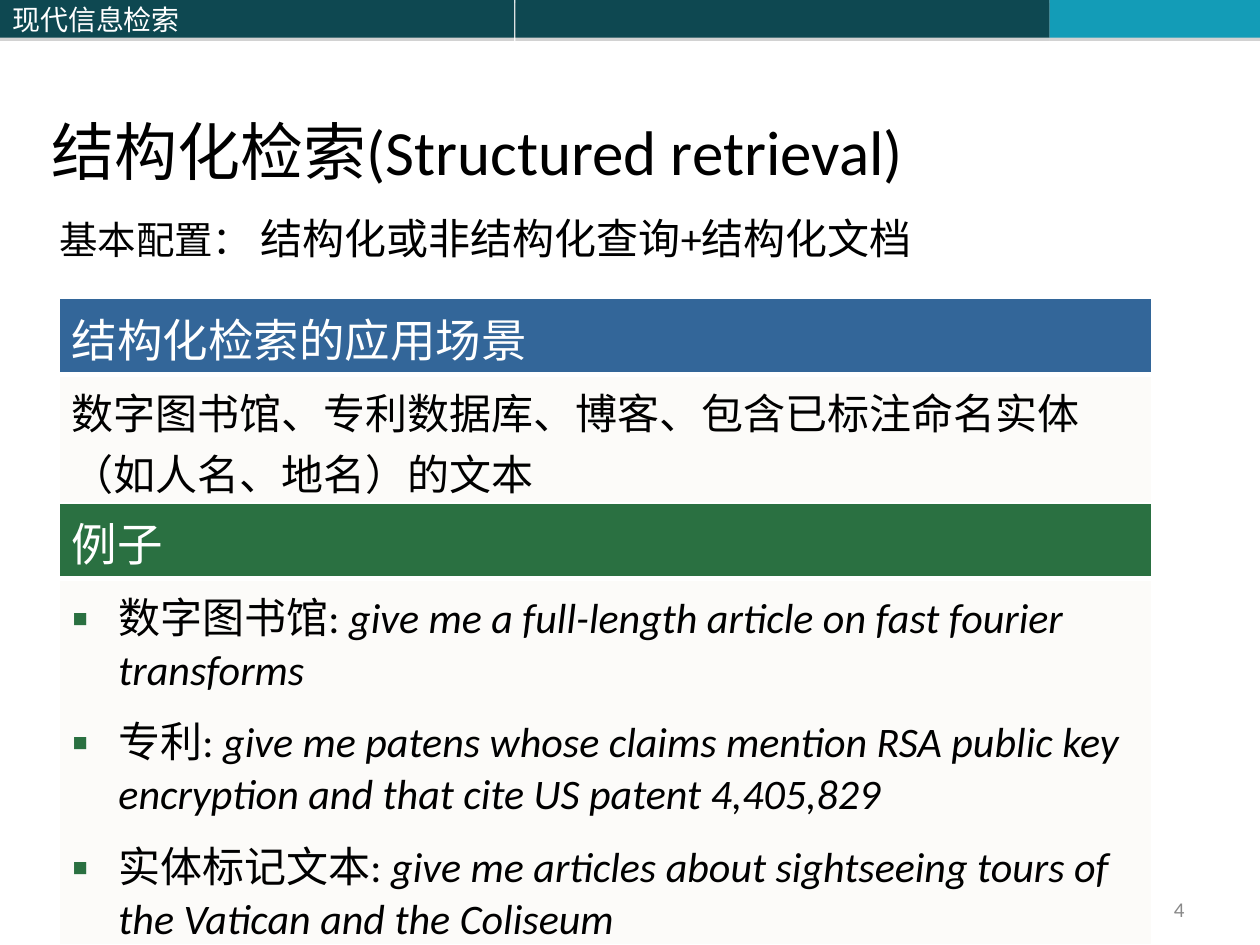
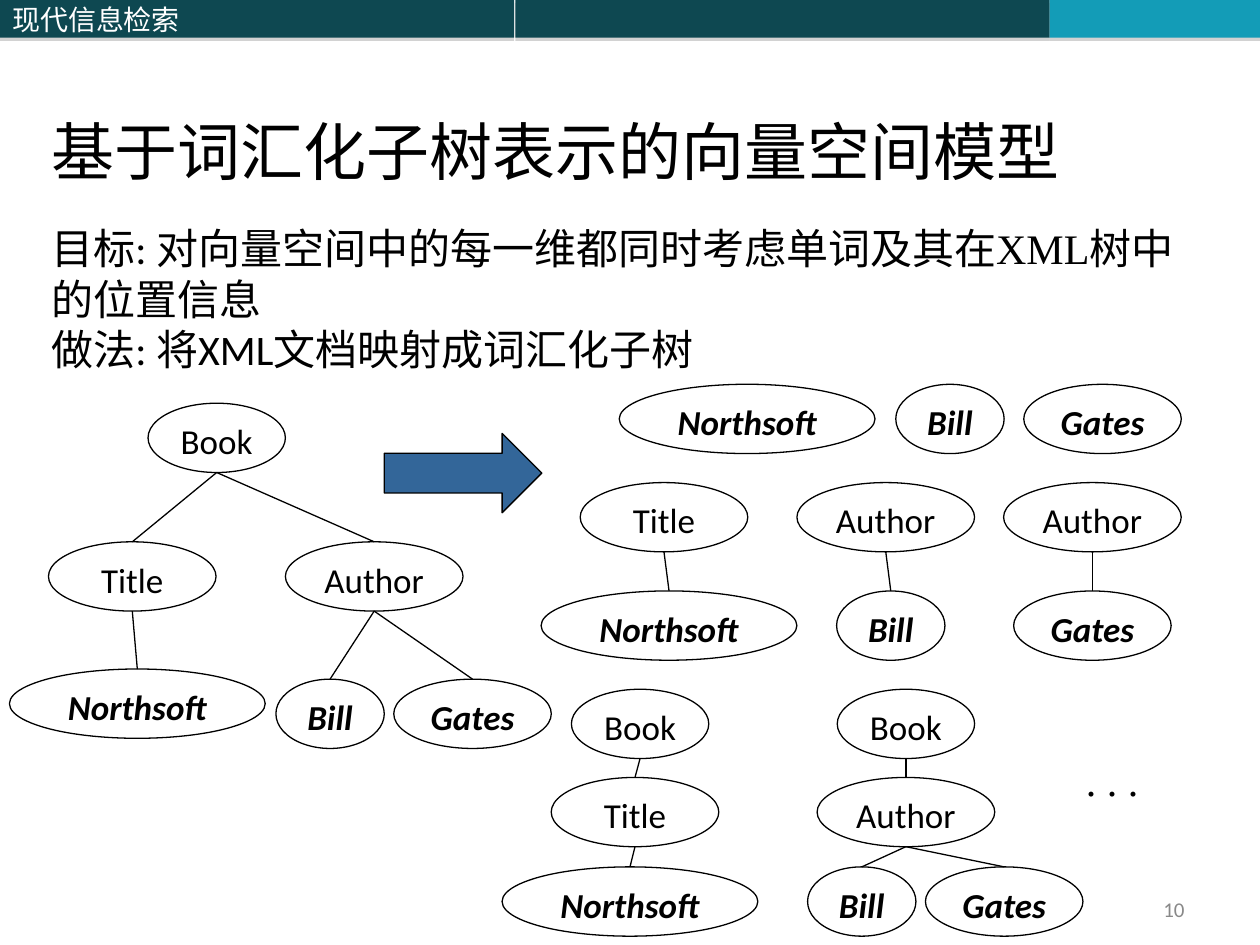
from dataclasses import dataclass

from pptx import Presentation
from pptx.dml.color import RGBColor
from pptx.enum.shapes import MSO_CONNECTOR, MSO_SHAPE
from pptx.enum.text import MSO_ANCHOR, PP_ALIGN
from pptx.oxml import parse_xml
from pptx.oxml.ns import nsdecls, qn
from pptx.util import Inches, Pt
from lxml.etree import SubElement


@dataclass(frozen=True)
class Theme:
    dark: str = "0E4851"
    cyan: str = "139CB7"
    blue: str = "336699"
    green: str = "2A7041"
    panel: str = "FCFBF9"
    ink: str = "000000"
    white: str = "FFFFFF"
    grey: str = "898989"
    shadow: str = "808080"
    font: str = "Calibri"
    serif: str = "Times New Roman"
    sans: str = "Noto Sans"
    cjk: str = "Noto Sans CJK SC"
    title: int = 36
    head: int = 26
    body: int = 24
    label: int = 22
    node: int = 20
    band: int = 16
    number: int = 12
    hairline: float = 0.75


T = Theme()
HEAD_H = 0.6
NODE_H = 0.55
NODE_W = {"Book": 1.09, "Title": 1.33, "Author": 1.41,
          "Bill": 0.86, "Gates": 1.25, "Northsoft": 2.03}
LEAVES = {"Northsoft", "Bill", "Gates"}


def rgb(color):
    return RGBColor.from_string(color)


# --- Text ---
def add_run(p, text, size=T.body, color=T.ink, font=T.font, bold=False, italic=False):
    r = p.add_run()
    r.text = text
    f = r.font
    f.size, f.name, f.bold, f.italic = Pt(size), font, bold, italic
    f.color.rgb = rgb(color)
    SubElement(r._r.get_or_add_rPr(), qn("a:ea")).set("typeface", T.cjk)
    return r


def add_text(slide, box, *paragraphs, anchor=MSO_ANCHOR.TOP, align=PP_ALIGN.LEFT,
             wrap=True, left=0.1):
    """Each paragraph is a list of (text, format) pairs."""
    tf = slide.shapes.add_textbox(*map(Inches, box)).text_frame
    tf.word_wrap, tf.vertical_anchor = wrap, anchor
    tf.margin_left = Inches(left)
    for i, runs in enumerate(paragraphs):
        p = tf.paragraphs[0] if i == 0 else tf.add_paragraph()
        p.alignment = align
        for text, fmt in runs:
            add_run(p, text, **fmt)


# --- Shapes ---
def add_box(slide, kind, box, fill=None, line=None):
    sp = slide.shapes.add_shape(kind, *map(Inches, box))
    sp.shadow.inherit = False
    if fill:
        sp.fill.solid()
        sp.fill.fore_color.rgb = rgb(fill)
    else:
        sp.fill.background()
    if line:
        sp.line.color.rgb, sp.line.width = rgb(line), Pt(T.hairline)
    else:
        sp.line.fill.background()
    return sp


def add_line(slide, start, end):
    ln = slide.shapes.add_connector(MSO_CONNECTOR.STRAIGHT, *map(Inches, start + end))
    ln.line.color.rgb, ln.line.width = rgb(T.ink), Pt(T.hairline)
    SubElement(ln._element.spPr, qn("a:effectLst"))


def add_band_shadow(sp):
    effects = sp._element.spPr.find(qn("a:effectLst"))
    effects.append(parse_xml(
        f'<a:outerShdw {nsdecls("a")} blurRad="0" dist="{Pt(1.8)}" dir="5400000">'
        f'<a:srgbClr val="{T.shadow}"><a:alpha val="35000"/></a:srgbClr></a:outerShdw>'))


# --- Frame shared by the slides ---
def add_band(slide, box):
    x, y, width, height = box
    # A fine gap divides the two dark parts
    parts = ((0, 4.08, T.dark), (4.09, 8.33, T.dark), (8.33, width, T.cyan))
    for start, end, fill in parts:
        sp = add_box(slide, MSO_SHAPE.RECTANGLE, (x + start, y, end - start, height), fill)
        add_band_shadow(sp)
        if start == 0:
            sp.text_frame.vertical_anchor = MSO_ANCHOR.MIDDLE
            p = sp.text_frame.paragraphs[0]
            p.alignment = PP_ALIGN.LEFT
            add_run(p, "现代信息检索", size=T.band, color=T.white, font=T.cjk)


def add_frame(prs, title, number):
    slide = prs.slides.add_slide(prs.slide_layouts[6])
    add_band(slide, (0, 0, 10, 0.3))
    add_text(slide, (0.31, 0.01, 9.38, 1.53), [(title, {"size": T.title})],
             anchor=MSO_ANCHOR.BOTTOM)
    add_text(slide, (7.17, 7.08, 2.33, 0.27),
             [(str(number), {"size": T.number, "color": T.grey})],
             anchor=MSO_ANCHOR.MIDDLE, align=PP_ALIGN.RIGHT)
    return slide


# --- Panel: a table with a coloured heading over one cell ---
def set_borders(cell, bottom):
    tcPr = cell._tc.get_or_add_tcPr()
    for i, (side, width) in enumerate((("L", 1), ("R", 1), ("T", 1), ("B", bottom))):
        tcPr.insert(i, parse_xml(
            f'<a:ln{side} {nsdecls("a")} w="{Pt(width)}"><a:solidFill>'
            f'<a:srgbClr val="{T.white}"/></a:solidFill></a:ln{side}>'))


def set_bullet(p, color):
    pPr = p._p.get_or_add_pPr()
    pPr.set("marL", str(Inches(0.37)))
    pPr.set("indent", str(-Inches(0.37)))
    p.space_before = Pt(7)
    SubElement(SubElement(pPr, qn("a:buClr")), qn("a:srgbClr")).set("val", color)
    SubElement(pPr, qn("a:buFont")).set("typeface", T.sans)
    SubElement(pPr, qn("a:buChar")).set("char", "▪")


def add_panel(slide, box, heading, color, paragraphs, bullets=False):
    tb = slide.shapes.add_table(2, 1, *map(Inches, box)).table
    tb.rows[0].height = Inches(HEAD_H)
    tb.rows[1].height = Inches(box[3] - HEAD_H)
    for row, fill, bottom in ((0, color, 3), (1, T.panel, 1)):
        cell = tb.cell(row, 0)
        cell.fill.solid()
        cell.fill.fore_color.rgb = rgb(fill)
        set_borders(cell, bottom)
    add_run(tb.cell(0, 0).text_frame.paragraphs[0], heading,
            size=T.head, color=T.white, font=T.sans)
    tf = tb.cell(1, 0).text_frame
    for i, runs in enumerate(paragraphs):
        p = tf.paragraphs[0] if i == 0 else tf.add_paragraph()
        if bullets:
            set_bullet(p, color)
        for text, fmt in runs:
            add_run(p, text, **fmt)


# --- Trees: a node is (word, centre x, top y, *children) ---
def add_tree(slide, origin, node):
    word, dx, dy, *children = node
    x, y, width = origin[0] + dx, origin[1] + dy, NODE_W[word]
    leaf = word in LEAVES
    sp = add_box(slide, MSO_SHAPE.OVAL, (x - width / 2, y, width, NODE_H), line=T.ink)
    tf = sp.text_frame
    tf.word_wrap, tf.vertical_anchor = False, MSO_ANCHOR.TOP
    p = tf.paragraphs[0]
    p.alignment = PP_ALIGN.CENTER
    add_run(p, word, size=T.node, bold=leaf, italic=leaf)
    for child in children:
        add_line(slide, (x, y + NODE_H), (origin[0] + child[1], origin[1] + child[2]))
        add_tree(slide, origin, child)


def add_document_tree(slide, box):
    add_tree(slide, box[:2],
             ("Book", 1.64, 0,
              ("Title", 0.97, 1.1, ("Northsoft", 1.01, 2.11)),
              ("Author", 2.89, 1.1, ("Bill", 2.54, 2.19), ("Gates", 3.67, 2.19))))


def add_subtrees(slide, box):
    trees = [
        # Single words
        ("Northsoft", 1.95, 0), ("Bill", 3.56, 0), ("Gates", 4.77, 0),
        # Two levels
        ("Title", 1.29, 0.78, ("Northsoft", 1.33, 1.64)),
        ("Author", 3.05, 0.78, ("Bill", 3.09, 1.64)),
        ("Author", 4.69, 0.78, ("Gates", 4.69, 1.64)),
        # Three levels
        ("Book", 1.1, 2.42, ("Title", 1.06, 3.12, ("Northsoft", 1.02, 3.83))),
        ("Book", 3.21, 2.42,
         ("Author", 3.21, 3.12, ("Bill", 2.86, 3.83), ("Gates", 3.99, 3.83))),
    ]
    for tree in trees:
        add_tree(slide, box[:2], tree)
    add_text(slide, (box[0] + 4.54, box[1] + 2.89, 0.71, 0.5),
             [(". . .", {"font": T.serif})], wrap=False)


# --- Slides ---
def build_retrieval(prs):
    slide = add_frame(prs, "结构化检索(Structured retrieval)", 4)
    add_text(slide, (0, 1.64, 9.69, 5.94),
             [("基本配置：", {"size": T.label}),
              (" 结构化或非结构化查询+结构化文档", {})], left=0.47)
    add_panel(slide, (0.47, 2.37, 8.67, 1.62), "结构化检索的应用场景", T.blue,
              [[("数字图书馆、专利数据库、博客、", {"font": T.sans}),
                ("包含已标注命名实体（如人名、地名）的文本", {})]])
    examples = [
        ("数字图书馆: ", "give me a full-length article on fast fourier transforms"),
        ("专利: ", "give me patens whose claims mention RSA public key encryption "
                 "and that cite US patent 4,405,829"),
        ("实体标记文本: ", "give me articles about sightseeing tours of the Vatican "
                     "and the Coliseum"),
    ]
    add_panel(slide, (0.47, 3.99, 8.67, 3.51), "例子", T.green,
              [[(name, {}), (query, {"italic": True})] for name, query in examples],
              bullets=True)


def build_vector_model(prs):
    slide = add_frame(prs, "基于词汇化子树表示的向量空间模型", 10)
    add_text(slide, (0.31, 1.72, 9.3, 5.55),
             [("目标: ", {}),
              ("对向量空间中的每一维都同时考虑单词及其在XML树中的位置信息", {"font": T.serif})],
             [("做法: 将XML文档映射成词汇化子树", {})])
    add_document_tree(slide, (0.08, 3.2, 4.29, 2.74))
    add_box(slide, MSO_SHAPE.RIGHT_ARROW, (3.05, 3.44, 1.25, 0.63), T.blue, T.ink)
    add_subtrees(slide, (3.98, 3.05, 5.4, 4.38))


prs = Presentation()
prs.slide_width, prs.slide_height = Inches(10), Inches(7.5)
build_retrieval(prs)
build_vector_model(prs)
prs.save("out.pptx")
